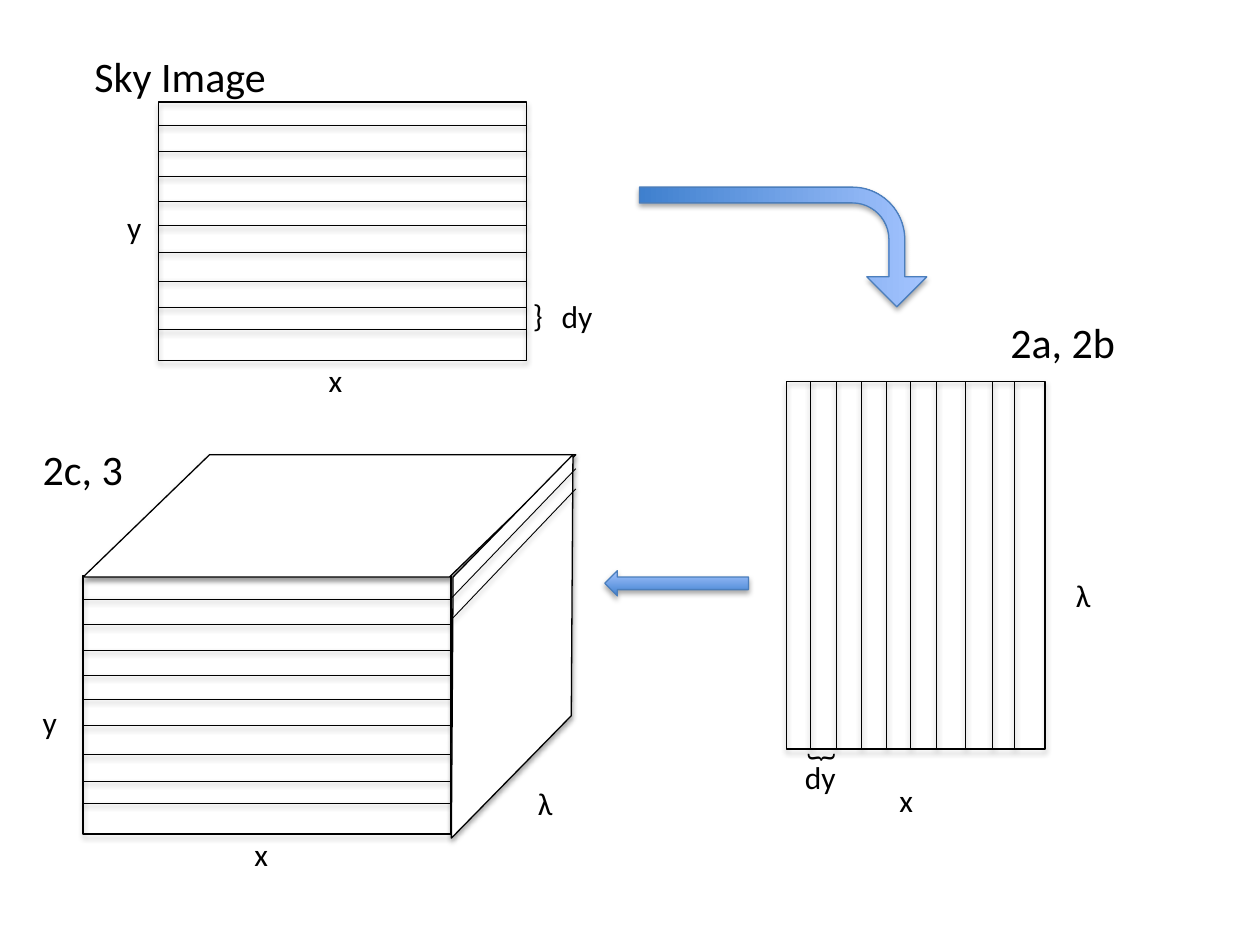
from dataclasses import dataclass
from typing import NamedTuple

from lxml.etree import SubElement
from pptx import Presentation
from pptx.dml.color import RGBColor as Rgb
from pptx.enum.shapes import MSO_CONNECTOR as Connector, MSO_SHAPE as Shape
from pptx.enum.text import MSO_AUTO_SIZE as AutoSize
from pptx.oxml.ns import qn
from pptx.util import Emu, Inches, Pt


@dataclass(frozen=True)
class Theme:
    font: str = "Calibri"
    ink: str = "000000"
    paper: str = "FFFFFF"
    arrow_edge: str = "4B7EBC"
    arrow_dark: str = "3F80CE"
    arrow_light: str = "A4C4FF"
    heading: float = 24
    label: float = 18
    outline: float = 0.75
    slice_line: float = 0.5


class Box(NamedTuple):
    column: float
    row: float
    columns: float
    rows: float
    turn: float = 0


class Label(NamedTuple):
    words: str
    box: Box
    size: float


class Panel(NamedTuple):
    box: Box
    upright: bool = False


class Solid(NamedTuple):
    kind: Shape
    box: Box
    adjustments: tuple = ()


THEME = Theme()
COLUMNS = 100
WIDTH, HEIGHT = Inches(10), Inches(7.5)
CELL = WIDTH / COLUMNS
PANEL_LENGTH, PANEL_DEPTH = 29.2, 20.5
SLICES = (1.85, 3.9, 5.9, 7.9, 9.8, 11.9, 14.2, 16.3, 18.05)

PANELS = (
    Panel(Box(12.6, 8.1, PANEL_LENGTH, PANEL_DEPTH)),
    Panel(Box(58.1, 34.6, PANEL_LENGTH, PANEL_DEPTH, 270), upright=True),
    Panel(Box(6.6, 45.7, PANEL_LENGTH, PANEL_DEPTH)),
)
CUBE_FACES = (
    Solid(Shape.PARALLELOGRAM, Box(6.6, 36.1, 39.1, 9.7), (1.034,)),
    Solid(Shape.PARALLELOGRAM, Box(26.4, 44.1, 28.5, 14.4, 134.4), (1.035,)),
)
SIDE_SLICES = ((47.5, 37.2), (49.2, 38.8))
ARROWS = (
    Solid(Shape.BENT_ARROW, Box(57.4, 8.2, 9.5, 22.8, 90), (0.132, 0.25, 0.25, 0.438)),
    Solid(Shape.LEFT_ARROW, Box(48, 45.3, 11.4, 2)),
)
LABELS = (
    Label("x", Box(25.1, 28.2, 3.1, 4), THEME.label),
    Label("y", Box(9.1, 16, 3.2, 4), THEME.label),
    Label("λ", Box(84.4, 45.2, 3.2, 4), THEME.label),
    Label("λ", Box(41.7, 61.7, 3.2, 4), THEME.label),
    Label("x", Box(19.2, 65.8, 3.1, 4), THEME.label),
    Label("y", Box(2.4, 55.3, 3.2, 4), THEME.label),
    Label("x", Box(70.4, 61.5, 3.2, 4), THEME.label),
    Label("dy", Box(43.6, 23.1, 4.5, 4), THEME.label),
    Label("}", Box(41.3, 23, 2.9, 4), THEME.label),
    Label("dy", Box(62.9, 59.7, 4.5, 4), THEME.label),
    Label("}", Box(64, 58.2, 2.9, 4, 90), THEME.label),
    Label("Sky Image", Box(6.5, 3.5, 15.8, 5), THEME.heading),
    Label("2a, 2b", Box(79.2, 24.6, 10.4, 5), THEME.heading),
    Label("2c, 3", Box(2.4, 34.7, 8.5, 5), THEME.heading),
)


def cells(count: float) -> Emu:
    return Emu(round(count * CELL))


def place(box: Box) -> tuple:
    return tuple(cells(length) for length in box[:4])


def cast_shadow(part, alpha: int, distance: float) -> None:
    properties = part._element.spPr
    for old in properties.findall(qn("a:effectLst")):
        properties.remove(old)
    effects = SubElement(properties, qn("a:effectLst"))
    shadow = SubElement(effects, qn("a:outerShdw"), blurRad=str(Pt(3.1)),
                        dist=str(Pt(distance)), dir="5400000", rotWithShape="0")
    ink = SubElement(shadow, qn("a:srgbClr"), val=THEME.ink)
    SubElement(ink, qn("a:alpha"), val=str(alpha * 1000))


def draw_solid(slide, solid: Solid, *, fill: tuple = (), edge: str = THEME.ink) -> None:
    body = slide.shapes.add_shape(solid.kind, *place(solid.box))
    body.rotation = solid.box.turn
    for index, value in enumerate(solid.adjustments):
        body.adjustments[index] = value
    if not fill:
        body.fill.background()
    elif len(fill) == 1:
        body.fill.solid()
        body.fill.fore_color.rgb = Rgb.from_string(fill[0])
    else:
        body.fill.gradient()
        body.fill.gradient_angle = 90
        for stop, colour in zip(body.fill.gradient_stops, fill):
            stop.color.rgb = Rgb.from_string(colour)
    body.line.color.rgb = Rgb.from_string(edge)
    body.line.width = Pt(THEME.outline)
    cast_shadow(body, 35, 1.8)


def draw_slice(slide, start: tuple, end: tuple) -> None:
    rule = slide.shapes.add_connector(
        Connector.STRAIGHT, *(cells(value) for value in start + end))
    rule.line.color.rgb = Rgb.from_string(THEME.ink)
    rule.line.width = Pt(THEME.slice_line)
    cast_shadow(rule, 38, 1.6)


def draw_panel(slide, panel: Panel) -> None:
    box = panel.box
    draw_solid(slide, Solid(Shape.RECTANGLE, box))
    inset = (box.columns - box.rows) / 2
    for offset in SLICES:
        if panel.upright:
            column = box.column + inset + offset
            top = box.row - inset
            draw_slice(slide, (column, top + box.columns), (column, top))
        else:
            row = box.row + offset
            draw_slice(slide, (box.column, row), (box.column + box.columns, row))


def write(slide, words: str, *, box: Box, size: float) -> None:
    holder = slide.shapes.add_textbox(*place(box))
    holder.rotation = box.turn
    frame = holder.text_frame
    frame.word_wrap = False
    frame.auto_size = AutoSize.SHAPE_TO_FIT_TEXT
    run = frame.paragraphs[0].add_run()
    run.text = words
    run.font.name = THEME.font
    run.font.size = Pt(size)
    run.font.color.rgb = Rgb.from_string(THEME.ink)


def build() -> None:
    deck = Presentation()
    deck.slide_width, deck.slide_height = WIDTH, HEIGHT
    slide = deck.slides.add_slide(deck.slide_layouts[6])
    for panel in PANELS:
        draw_panel(slide, panel)
    for face in CUBE_FACES:
        draw_solid(slide, face, fill=(THEME.paper,))
    for front, back in SIDE_SLICES:
        draw_slice(slide, (35.8, front), (45.7, back))
    for arrow in ARROWS:
        draw_solid(slide, arrow, fill=(THEME.arrow_dark, THEME.arrow_light),
                   edge=THEME.arrow_edge)
    for label in LABELS:
        write(slide, label.words, box=label.box, size=label.size)
    deck.save("out.pptx")


build()
